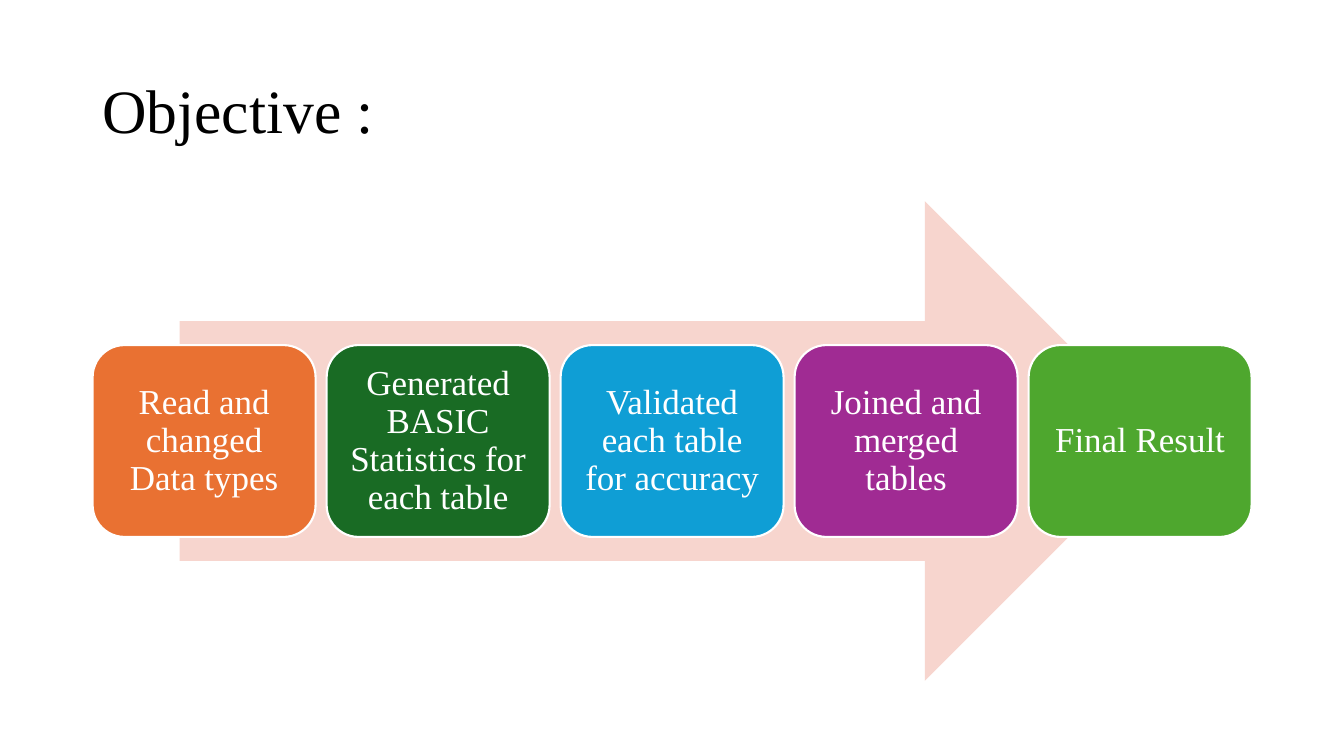
from pptx import Presentation
from pptx.dml.color import RGBColor
from pptx.enum.shapes import MSO_SHAPE
from pptx.enum.text import MSO_ANCHOR, PP_ALIGN
from pptx.util import Pt

FONT = "Times New Roman"
STEPS = [
    ("Read and changed Data types", "E97132"),
    ("Generated BASIC Statistics for each table", "196B24"),
    ("Validated each table for accuracy", "0F9ED5"),
    ("Joined and merged tables", "A02B93"),
    ("Final Result", "4EA72E"),
]


def rgb(value):
    return RGBColor.from_string(value)


def set_text(sp, text, size, color, align):
    tf = sp.text_frame
    tf.word_wrap = True
    tf.vertical_anchor = MSO_ANCHOR.MIDDLE
    tf.text = text
    p = tf.paragraphs[0]
    p.alignment = align
    p.line_spacing = 0.9
    font = p.runs[0].font
    font.name = FONT
    font.size = Pt(size)
    font.color.rgb = rgb(color)


def add_filled(s, kind, x, y, w, h, fill):
    sp = s.shapes.add_shape(kind, Pt(x), Pt(y), Pt(w), Pt(h))
    sp.shadow.inherit = False
    sp.fill.solid()
    sp.fill.fore_color.rgb = rgb(fill)
    sp.line.fill.background()
    return sp


def add_title(s, x, y, w, h, text):
    sp = s.shapes.add_textbox(Pt(x), Pt(y), Pt(w), Pt(h))
    set_text(sp, text, 44, "000000", PP_ALIGN.LEFT)


def add_process(s, x, y, w, h, steps):
    """Place a row of step cards over a wide arrow, centred in the box."""
    arrow_w = w * 0.85
    add_filled(s, MSO_SHAPE.RIGHT_ARROW, x + (w - arrow_w) / 2, y,
               arrow_w, h, "F7D5CE")

    gap = 7.9
    card_w = (w - gap * (len(steps) - 1)) / len(steps)
    card_h = h * 0.4
    card_y = y + (h - card_h) / 2
    for i, (text, fill) in enumerate(steps):
        card = add_filled(s, MSO_SHAPE.ROUNDED_RECTANGLE,
                          x + i * (card_w + gap), card_y, card_w, card_h, fill)
        card.line.color.rgb = rgb("FFFFFF")
        card.line.width = Pt(1.5)
        tf = card.text_frame
        tf.margin_left = tf.margin_right = Pt(7.2)
        tf.margin_top = tf.margin_bottom = Pt(7.2)
        set_text(card, text, 25, "FFFFFF", PP_ALIGN.CENTER)


def main():
    prs = Presentation()
    prs.slide_width, prs.slide_height = Pt(960), Pt(540)
    s = prs.slides.add_slide(prs.slide_layouts[6])
    add_title(s, 66, 28.75, 828, 104.4, "Objective :")
    add_process(s, 66.2, 143.75, 827.8, 342.6, STEPS)
    prs.save("out.pptx")


if __name__ == "__main__":
    main()
